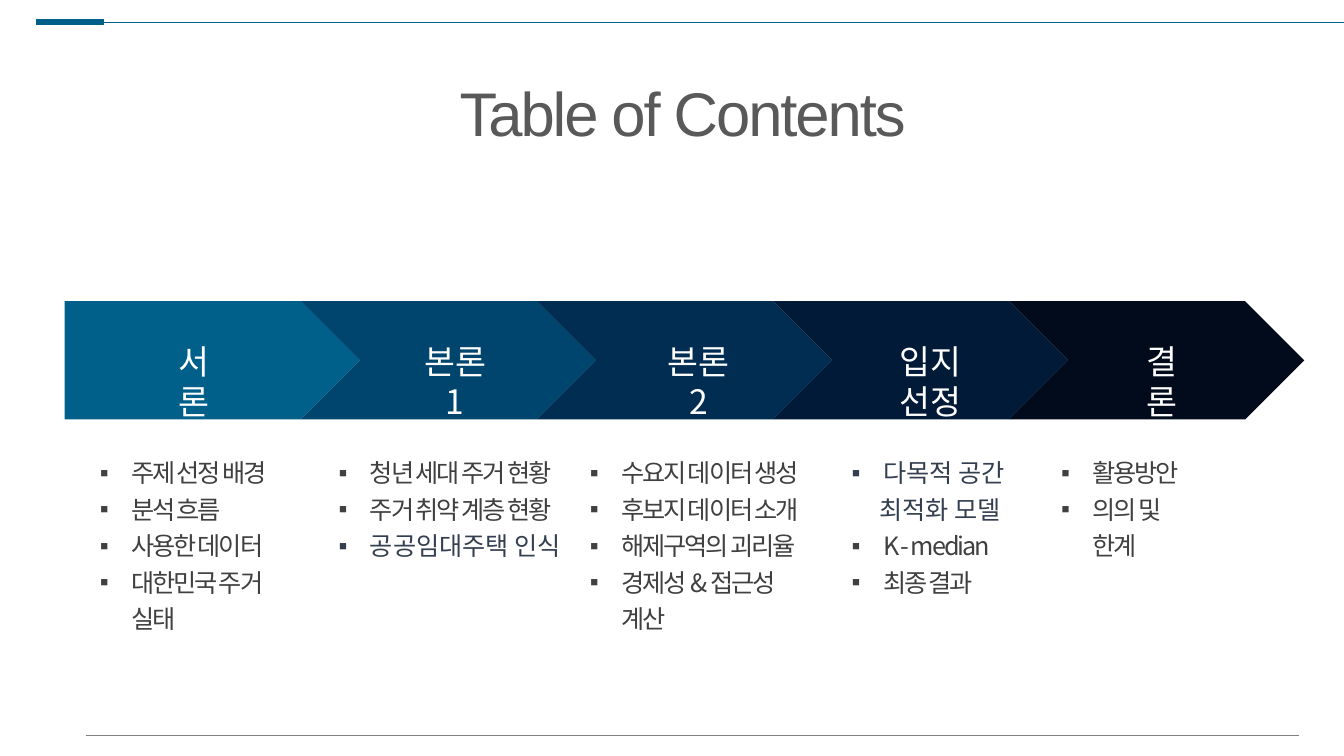
from lxml import etree
from pptx import Presentation
from pptx.dml.color import RGBColor
from pptx.enum.shapes import MSO_CONNECTOR
from pptx.enum.text import MSO_ANCHOR, MSO_AUTO_SIZE, PP_ALIGN
from pptx.oxml.ns import qn
from pptx.util import Cm, Pt

STRAIGHT = MSO_CONNECTOR.STRAIGHT
TOP = MSO_ANCHOR.TOP
NO_FIT = MSO_AUTO_SIZE.NONE
LEFT, CENTER = PP_ALIGN.LEFT, PP_ALIGN.CENTER
SANS, KOREAN = "Arial", "Noto Sans CJK KR"
COMPARISON_LAYOUT = 4


def rgb(value):
    return RGBColor.from_string(value)


def style(paragraph, size, color, font=KOREAN, spacing=0, align=LEFT):
    paragraph.alignment = align
    paragraph.space_before = Pt(0)
    paragraph.font.size = Pt(size)
    paragraph.font.bold = False
    paragraph.font.color.rgb = rgb(color)
    paragraph.font.name = font
    properties = paragraph._p.pPr.find(qn("a:defRPr"))
    properties.set("spc", str(spacing))
    etree.SubElement(properties, qn("a:ea"), typeface=KOREAN)


prs = Presentation()
prs.slide_width, prs.slide_height = Cm(33.87), Cm(19.05)
slide = prs.slides.add_slide(prs.slide_layouts[COMPARISON_LAYOUT])
shapes = slide.shapes
title, *list_boxes = slide.placeholders

# Rules at the top and bottom: start, end, height, colour, weight
for start, end, y, color, weight in [
    (0.91, 33.87, 0.56, "00608A", 0.5),
    (0.91, 2.62, 0.56, "00608A", 4.5),
    (2.16, 32.74, 18.52, "808080", 0.5),
]:
    rule = shapes.add_connector(STRAIGHT, Cm(start), Cm(y), Cm(end), Cm(y))
    rule.line.color.rgb = rgb(color)
    rule.line.width = Pt(weight)
    etree.SubElement(rule._element.spPr, qn("a:effectLst"))

# Title
title.left, title.top, title.width, title.height = Cm(11.33), Cm(1.75), Cm(11.81), Cm(2.13)
title.text_frame.text = "Table of Contents"
title.text_frame.word_wrap = False
title.text_frame.auto_size = NO_FIT
title.text_frame.vertical_anchor = TOP
style(title.text_frame.paragraphs[0], 44, "595959", SANS, -150)

# Row of arrows; every arrow after the first has a notch
ROW_LEFT, ROW_TOP, STEP, TIP = 1.63, 7.59, 5.95, 1.49
for index, color in enumerate(["00608A", "00456E", "012D52", "011A37", "010B1C"]):
    left = ROW_LEFT + index * STEP
    right, middle, bottom = left + STEP, ROW_TOP + TIP, ROW_TOP + 2 * TIP
    outline = [(right, ROW_TOP), (right + TIP, middle), (right, bottom), (left, bottom)]
    if index:
        outline.append((left + TIP, middle))
    builder = shapes.build_freeform(Cm(left), Cm(ROW_TOP))
    builder.add_line_segments([(Cm(x), Cm(y)) for x, y in outline])
    arrow = builder.convert_to_shape()
    arrow.shadow.inherit = False
    arrow.fill.solid()
    arrow.fill.fore_color.rgb = rgb(color)
    arrow.line.fill.background()

# Chapter names on the arrows
for chapter, left, width in [
    ("서론", 3.89, 1.98),
    ("본론 1", 10.08, 2.79),
    ("본론 2", 16.21, 2.79),
    ("입지 선정", 21.62, 3.66),
    ("결론", 28.3, 1.98),
]:
    label = shapes.add_textbox(Cm(left), Cm(8.48), Cm(width), Cm(1.27)).text_frame
    label.word_wrap = True
    label.margin_left = label.margin_right = Cm(0.38)
    label.text = chapter
    style(label.paragraphs[0], 24, "FFFFFF", align=CENTER)
    label.paragraphs[0].line_spacing = Pt(28.6)

# Topics below the arrows: left, width, lines
topics = [
    (2.26, 5.5, ["주제 선정 배경", "분석 흐름", "사용한 데이터", "대한민국 주거 실태"]),
    (8.28, 6.32, ["청년 세대 주거 현황", "주거 취약 계층 현황", "공공임대주택 인식"]),
    (14.61, 6.25, ["수요지 데이터 생성", "후보지 데이터 소개", "해제구역의 괴리율", "경제성 & 접근성 계산"]),
    (21.21, 4.6, ["다목적 공간", "최적화 모델", "K - median", "최종 결과"]),
    (26.49, 3.95, ["활용방안", "의의 및 한계"]),
]
accented = {"공공임대주택 인식", "다목적 공간", "최적화 모델"}
continued = {"최적화 모델"}
list_boxes.append(shapes.add_textbox(0, 0, 0, 0))
for box, (left, width, lines) in zip(list_boxes, topics):
    box.left, box.top, box.width, box.height = Cm(left), Cm(11.25), Cm(width), Cm(4.9)
    frame = box.text_frame
    frame.word_wrap = True
    frame.auto_size = NO_FIT
    frame.vertical_anchor = TOP
    frame.text = "\n".join(lines)
    for line, paragraph in zip(lines, frame.paragraphs):
        properties = paragraph._p.get_or_add_pPr()
        if line in continued:
            properties.set("marL", str(Cm(0.7)))
            properties.set("indent", "0")
            etree.SubElement(properties, qn("a:buNone"))
        else:
            properties.set("marL", str(Cm(0.79)))
            properties.set("indent", str(-Cm(0.79)))
            etree.SubElement(properties, qn("a:buFont"), typeface=SANS)
            etree.SubElement(properties, qn("a:buChar"), char="▪")
        if line in accented:
            style(paragraph, 18, "333F50", SANS)
        else:
            style(paragraph, 18, "404040", spacing=-150)
        paragraph.line_spacing = Pt(26)

prs.save("out.pptx")
